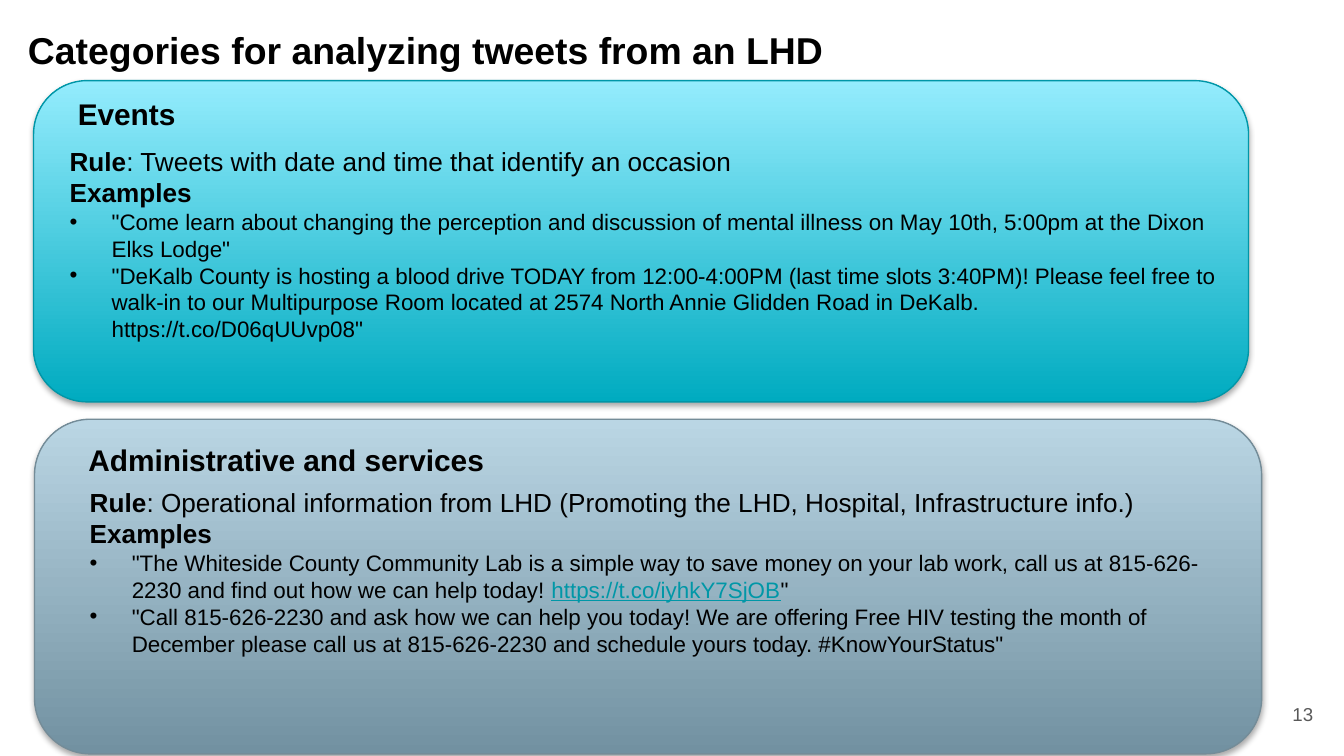
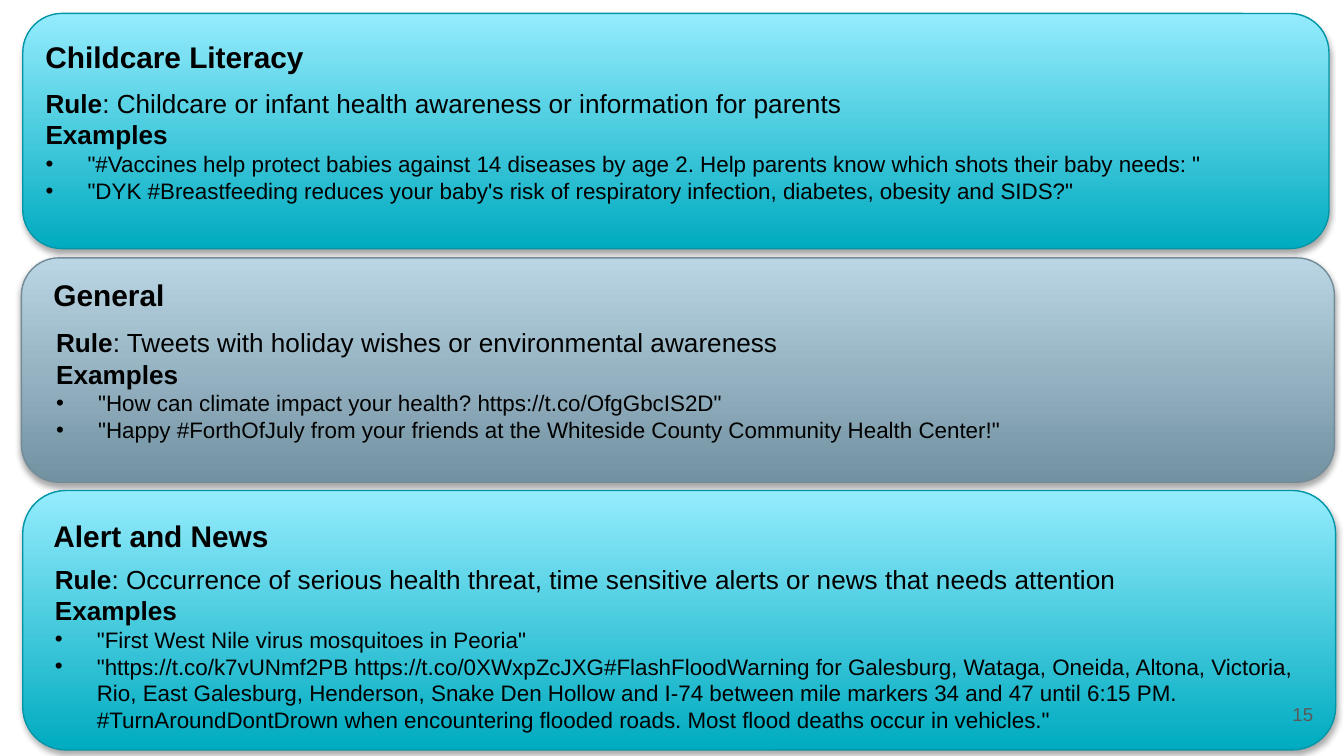
from dataclasses import dataclass

from lxml.etree import SubElement
from pptx import Presentation
from pptx.dml.color import RGBColor
from pptx.enum.shapes import MSO_SHAPE
from pptx.enum.text import MSO_ANCHOR, MSO_AUTO_SIZE, PP_ALIGN
from pptx.oxml.ns import qn
from pptx.util import Pt

FONT = "Arial"
COLORS = {
    "text": "000000",
    "link": "0097A7",
    "page": "595959",
    "shadow": "000000",
}
THEMES = {
    "teal": {"bottom": "00ABC0", "top": "94ECFD", "edge": "0096A7"},
    "slate": {"bottom": "7291A1", "top": "BAD6E4", "edge": "748C98"},
}
LINK = "https://t.co/iyhkY7SjOB"
INDENT = 22.5


@dataclass
class Category:
    """A tweet category with its panel, heading and body boxes in points."""
    theme: str
    panel: tuple
    heading_box: tuple
    body_box: tuple
    heading: str
    rule: str
    examples: list


EVENTS = Category(
    "teal", (18, 43.2, 650.9, 172.1), (34.6, 47.5, 216, 26.6), (30.2, 74.2, 639.4, 113.8),
    "Events",
    "Tweets with date and time that identify an occasion",
    ['"Come learn about changing the perception and discussion of mental illness '
     'on May 10th, 5:00pm at the Dixon Elks Lodge"',
     '"DeKalb County is hosting a blood drive TODAY from 12:00-4:00PM (last time slots 3:40PM)! '
     'Please feel free to walk-in to our Multipurpose Room located at '
     '2574 North Annie Glidden Road in DeKalb. https://t.co/D06qUUvp08"'])

SERVICES = Category(
    "slate", (18.5, 224.6, 657.4, 179.3), (40.3, 233.3, 255.6, 26.6), (41, 257, 617.8, 116.6),
    "Administrative and services",
    "Operational information from LHD (Promoting the LHD, Hospital, Infrastructure info.)",
    ['"The Whiteside County Community Lab is a simple way to save money on your lab work, '
     f'call us at 815-626-2230 and find out how we can help today! {LINK}"',
     '"Call 815-626-2230 and ask how we can help you today! We are offering Free HIV testing '
     'the month of December please call us at 815-626-2230 and schedule yours today. '
     '#KnowYourStatus"'])

CHILDCARE = Category(
    "teal", (12.2, 7.2, 699.8, 126), (17.3, 17.3, 216, 26.6), (17.3, 43.2, 690.5, 85),
    "Childcare Literacy",
    "Childcare or infant health awareness or information for parents",
    ['"#Vaccines help protect babies against 14 diseases by age 2. '
     'Help parents know which shots their baby needs: "',
     '"DYK #Breastfeeding reduces your baby\'s risk of respiratory infection, '
     'diabetes, obesity and SIDS?"'])

GENERAL = Category(
    "slate", (11.5, 138.2, 703.4, 120.2), (21.6, 144.7, 216, 26.6), (23, 171.4, 686.2, 70.6),
    "General",
    "Tweets with holiday wishes or environmental awareness",
    ['"How can climate impact your health? https://t.co/OfgGbcIS2D"',
     '"Happy #ForthOfJuly from your friends at the Whiteside County Community Health Center!"'])

ALERTS = Category(
    "teal", (12.2, 262.8, 703.4, 139), (21.6, 273.6, 216, 26.6), (22.3, 298.1, 686.9, 116.6),
    "Alert and News",
    "Occurrence of serious health threat, time sensitive alerts or news that needs attention",
    ['"First West Nile virus mosquitoes in Peoria"',
     '"https://t.co/k7vUNmf2PB https://t.co/0XWxpZcJXG#FlashFloodWarning for Galesburg, Wataga, '
     'Oneida, Altona, Victoria, Rio, East Galesburg, Henderson, Snake Den Hollow and I-74 between '
     'mile markers 34 and 47 until 6:15 PM. #TurnAroundDontDrown when encountering flooded roads. '
     'Most flood deaths occur in vehicles."'])


def rgb(name):
    """Return the named colour."""
    return RGBColor.from_string(COLORS[name])


def style(paragraph, size, bold=False, color="text"):
    """Set the font shared by all runs of a paragraph."""
    font = paragraph.font
    font.name, font.size, font.bold = FONT, Pt(size), bold
    font.color.rgb = rgb(color)


def add_frame(slide, box, inset=3.6, grow=True):
    """Add a wrapping text box and return its text frame."""
    frame = slide.shapes.add_textbox(*map(Pt, box)).text_frame
    frame.word_wrap = True
    frame.auto_size = MSO_AUTO_SIZE.SHAPE_TO_FIT_TEXT if grow else MSO_AUTO_SIZE.NONE
    frame.margin_left = frame.margin_right = Pt(7.2)
    frame.margin_top = frame.margin_bottom = Pt(inset)
    return frame


def add_label(slide, box, text, size, bold=True, color="text", **options):
    """Add a single-paragraph text box and return its text frame."""
    frame = add_frame(slide, box, **options)
    frame.text = text
    style(frame.paragraphs[0], size, bold, color)
    return frame


def add_title(slide, text):
    """Add the slide title."""
    add_label(slide, (7.9, 7.2, 671, 45.4), text, 20, inset=7.2, grow=False)


def add_page_number(slide, number):
    """Add the page number at the bottom right."""
    frame = add_label(slide, (667.4, 367.2, 43.2, 31), str(number), 10, False, "page",
                      inset=7.2, grow=False)
    frame.vertical_anchor = MSO_ANCHOR.MIDDLE
    frame.paragraphs[0].alignment = PP_ALIGN.RIGHT


def add_panel(slide, box, theme):
    """Add a rounded gradient panel with a soft shadow below."""
    panel = slide.shapes.add_shape(MSO_SHAPE.ROUNDED_RECTANGLE, *map(Pt, box))
    panel.fill.gradient()
    panel.fill.gradient_angle = 90
    for stop, part in zip(panel.fill.gradient_stops, ("bottom", "top")):
        stop.color.rgb = RGBColor.from_string(THEMES[theme][part])
    panel.line.color.rgb = RGBColor.from_string(THEMES[theme]["edge"])
    panel.line.width = Pt(0.75)
    panel.shadow.inherit = False
    effects = panel.element.spPr.find(qn("a:effectLst"))
    shadow = SubElement(effects, qn("a:outerShdw"), blurRad=str(Pt(3.1)), dist=str(Pt(1.8)),
                        dir="5400000", rotWithShape="0")
    tone = SubElement(shadow, qn("a:srgbClr"), val=COLORS["shadow"])
    SubElement(tone, qn("a:alpha"), val="35000")


def add_bullet(paragraph):
    """Give a paragraph a hanging bullet."""
    properties = paragraph._p.get_or_add_pPr()
    properties.set("marL", str(Pt(INDENT)))
    properties.set("indent", str(Pt(-INDENT)))
    bullet_color = SubElement(properties, qn("a:buClr"))
    SubElement(bullet_color, qn("a:srgbClr"), val=COLORS["text"])
    SubElement(properties, qn("a:buFont"), typeface=FONT)
    SubElement(properties, qn("a:buChar"), char="•")


def add_example(frame, example):
    """Add a bulleted tweet, underlining its link."""
    paragraph = frame.add_paragraph()
    add_bullet(paragraph)
    style(paragraph, 12)
    for part in filter(None, example.partition(LINK)):
        run = paragraph.add_run()
        run.text = part
        if part == LINK:
            run.font.underline = True
            run.font.color.rgb = rgb("link")


def add_category(slide, category):
    """Add a category panel with its heading, rule and examples."""
    add_panel(slide, category.panel, category.theme)
    add_label(slide, category.heading_box, category.heading, 16)
    frame = add_frame(slide, category.body_box)
    rule = frame.paragraphs[0]
    style(rule, 14)
    for text, bold in (("Rule", True), (f": {category.rule}", False)):
        run = rule.add_run()
        run.text, run.font.bold = text, bold
    examples_heading = frame.add_paragraph()
    examples_heading.text = "Examples"
    style(examples_heading, 14, True)
    for example in category.examples:
        add_example(frame, example)


def add_category_slide(deck, categories, number, title=None):
    """Add a slide of category panels."""
    slide = deck.slides.add_slide(deck.slide_layouts[6])
    if title:
        add_title(slide, title)
    for category in categories:
        add_category(slide, category)
    add_page_number(slide, number)


def main():
    """Build and save the deck."""
    deck = Presentation()
    deck.slide_width, deck.slide_height = Pt(720), Pt(405)
    add_category_slide(deck, [EVENTS, SERVICES], 13,
                       "Categories for analyzing tweets from an LHD")
    add_category_slide(deck, [CHILDCARE, GENERAL, ALERTS], 15)
    deck.save("out.pptx")


if __name__ == "__main__":
    main()
